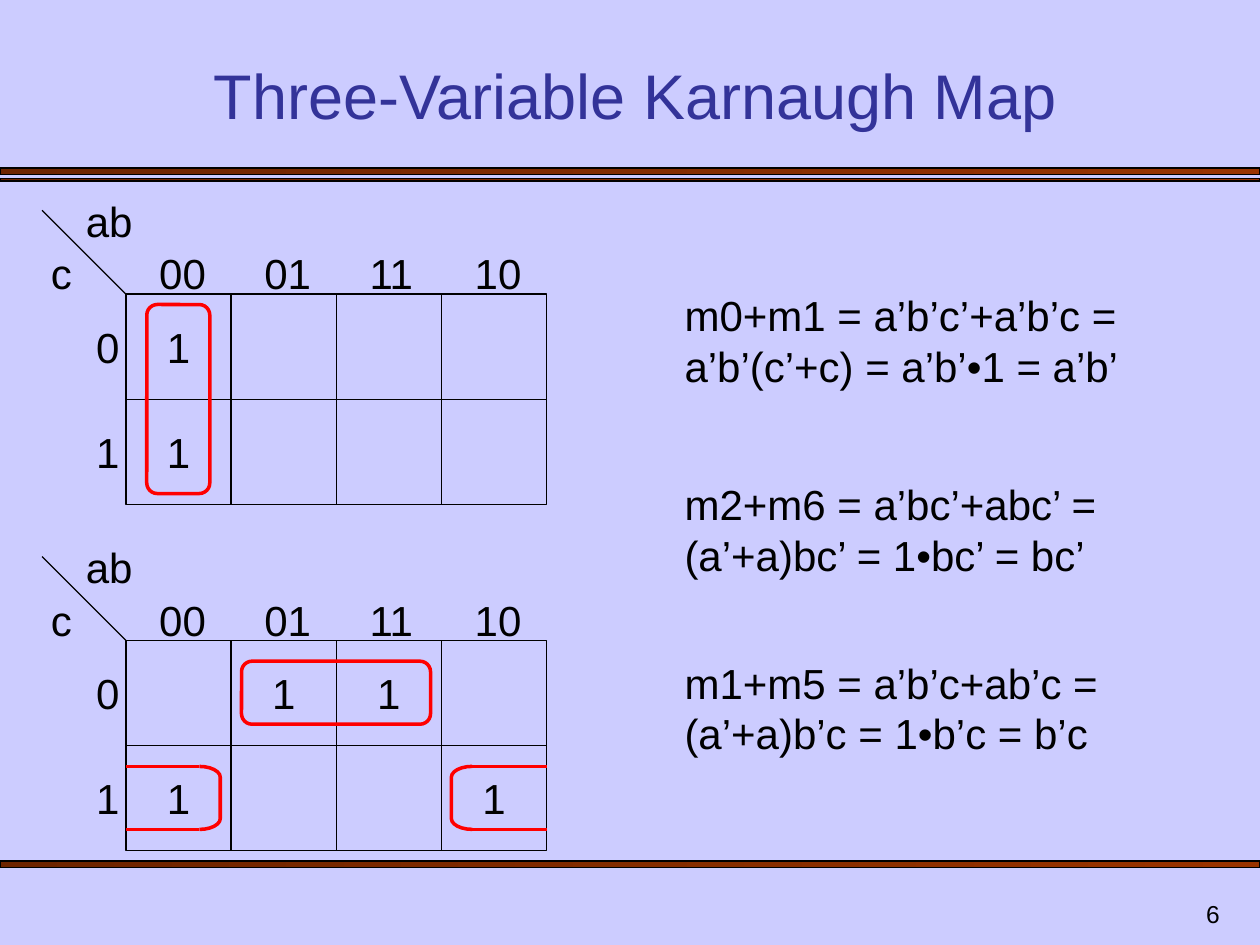
from dataclasses import dataclass

from lxml.etree import SubElement
from pptx import Presentation
from pptx.dml.color import RGBColor
from pptx.enum.shapes import MSO_CONNECTOR, MSO_SHAPE
from pptx.enum.text import MSO_ANCHOR, MSO_AUTO_SIZE, PP_ALIGN
from pptx.oxml.ns import qn
from pptx.util import Cm, Pt


@dataclass(frozen=True)
class Theme:
    font: str = "Arial"
    background: str = "CCCCFF"
    title: str = "333399"
    ink: str = "000000"
    loop: str = "FF0000"
    bar_start: str = "6D2400"
    bar_end: str = "993300"
    title_size: float = 36
    body_size: float = 24
    number_size: float = 14
    thin: float = 0.75
    thick: float = 2


CELL = 2.12         # side of a map cell, in cm
GRID_LEFT = 2.54
INSET = 0.42        # gap between a cell edge and its loop or text
LABEL_HEIGHT = 1.27
COLUMNS = ["00", "01", "11", "10"]
ROWS = ["0", "1"]


def write(box, text, *, size, color, font, align=PP_ALIGN.LEFT):
    para = box.text_frame.paragraphs[0]
    para.alignment = align
    span = para.add_run()
    span.text = text
    span.font.name = font
    span.font.size = Pt(size)
    span.font.color.rgb = RGBColor.from_string(color)


class Painter:
    def __init__(self, theme, slide):
        self.theme = theme
        self.slide = slide
        self.shapes = slide.shapes
        fill = slide.background.fill
        fill.solid()
        fill.fore_color.rgb = RGBColor.from_string(theme.background)

    def start_group(self):
        self.shapes = self.slide.shapes.add_group_shape().shapes

    def end_group(self):
        self.shapes = self.slide.shapes

    def text(self, text, left, top, width, height=LABEL_HEIGHT, *, size=None,
             color=None, align=PP_ALIGN.LEFT, anchor=MSO_ANCHOR.TOP, grow=True):
        box = self.shapes.add_textbox(Cm(left), Cm(top), Cm(width), Cm(height))
        frame = box.text_frame
        frame.word_wrap = True
        frame.vertical_anchor = anchor
        frame.auto_size = MSO_AUTO_SIZE.SHAPE_TO_FIT_TEXT if grow else MSO_AUTO_SIZE.NONE
        write(box, text, size=size or self.theme.body_size,
              color=color or self.theme.ink, font=self.theme.font, align=align)

    def stroke(self, item, color, weight):
        item.line.color.rgb = RGBColor.from_string(color)
        item.line.width = Pt(weight)

    def outline(self, kind, left, top, width, height, color, weight):
        shape = self.shapes.add_shape(kind, Cm(left), Cm(top), Cm(width), Cm(height))
        shape.shadow.inherit = False
        shape.fill.background()
        self.stroke(shape, color, weight)
        return shape

    def line(self, start, end, color, weight):
        connector = self.shapes.add_connector(
            MSO_CONNECTOR.STRAIGHT, *(Cm(value) for value in (*start, *end)))
        self.stroke(connector, color, weight)
        SubElement(connector.element.spPr, qn("a:effectLst"))

    def bar(self, top, height):
        bar = self.outline(MSO_SHAPE.RECTANGLE, 0, top, 25.4, height,
                           self.theme.ink, self.theme.thin)
        bar.fill.gradient()
        bar.fill.gradient_angle = 0
        colors = (self.theme.bar_start, self.theme.bar_end)
        for stop, color in zip(bar.fill.gradient_stops, colors):
            stop.color.rgb = RGBColor.from_string(color)

    def karnaugh_map(self, top, ones):
        """Draw a labelled map; ones lists the (column, row) cells holding 1."""
        theme = self.theme
        self.start_group()
        # Axis names and the diagonal between them
        self.text("ab", 1.48, top - CELL, 1.7)
        self.text("c", 0.43, top - CELL / 2, 1.27, align=PP_ALIGN.RIGHT)
        self.line((0.85, top - 1.69), (GRID_LEFT, top), theme.ink, theme.thin)
        # Cells with their column and row labels
        for column, heading in enumerate(COLUMNS):
            left = GRID_LEFT + column * CELL
            self.text(heading, left + INSET, top - CELL / 2, 1.52)
            for row in range(len(ROWS)):
                self.outline(MSO_SHAPE.RECTANGLE, left, top + row * CELL,
                             CELL, CELL, theme.ink, theme.thin)
        for row, heading in enumerate(ROWS):
            self.text(heading, 1.69, top + row * CELL + INSET, 1.09)
        for column, row in ones:
            self.text("1", GRID_LEFT + column * CELL, top + row * CELL + INSET,
                      CELL, align=PP_ALIGN.CENTER)
        self.end_group()

    def loop(self, left, top, width, height):
        self.outline(MSO_SHAPE.ROUNDED_RECTANGLE, left, top, width, height,
                     self.theme.loop, self.theme.thick)

    def open_loop(self, bracket_left, top, joint, edge, rotation=0):
        """Draw a half loop whose arms run from the joint to the map edge."""
        theme = self.theme
        self.start_group()
        bracket = self.outline(MSO_SHAPE.LEFT_BRACKET, bracket_left, top, INSET,
                               LABEL_HEIGHT, theme.loop, theme.thick)
        bracket.adjustments[0] = 0.52
        bracket.rotation = rotation
        for level in (top, top + LABEL_HEIGHT):
            self.line((joint, level), (edge, level), theme.loop, theme.thick)
        self.end_group()


def main():
    deck = Presentation()
    deck.slide_width, deck.slide_height = Cm(25.4), Cm(19.05)
    theme = Theme()
    page = Painter(theme, deck.slides.add_slide(deck.slide_layouts[6]))

    # Bars, page number and title
    for top, height in ((3.39, 0.13), (3.6, 0.05), (17.36, 0.13)):
        page.bar(top, height)
    page.text("6", 19.56, 17.78, 5.28, 1.06, size=theme.number_size,
              align=PP_ALIGN.RIGHT, anchor=MSO_ANCHOR.BOTTOM, grow=False)
    page.text("Three-Variable Karnaugh Map", 1.48, 1.06, 22.65, 1.73,
              size=theme.title_size, color=theme.title,
              align=PP_ALIGN.CENTER, anchor=MSO_ANCHOR.BOTTOM, grow=False)

    # Maps
    upper, lower = 5.93, 12.91
    page.karnaugh_map(lower, [(0, 1), (1, 0), (2, 0), (3, 1)])
    page.karnaugh_map(upper, [(0, 0), (0, 1)])

    # Loops around adjacent ones
    page.loop(GRID_LEFT + INSET, upper + 0.21, 1.27, 3.81)
    page.loop(GRID_LEFT + CELL + 0.21, lower + INSET, 3.81, 1.27)
    wrap_top = lower + CELL + INSET
    page.open_loop(9.1, wrap_top, 9.52, GRID_LEFT + 4 * CELL)
    page.open_loop(4.02, wrap_top, 4.02, GRID_LEFT, rotation=180)

    # Simplifications
    equations = (
        (5.72, "m0+m1 = a’b’c’+a’b’c = a’b’(c’+c) = a’b’•1 = a’b’"),
        (9.53, "m2+m6 = a’bc’+abc’ = (a’+a)bc’ = 1•bc’ = bc’"),
        (13.12, "m1+m5 = a’b’c+ab’c = (a’+a)b’c = 1•b’c = b’c"),
    )
    for top, equation in equations:
        page.text(equation, 13.55, top, 9.53, 2.29)

    deck.save("out.pptx")


if __name__ == "__main__":
    main()
